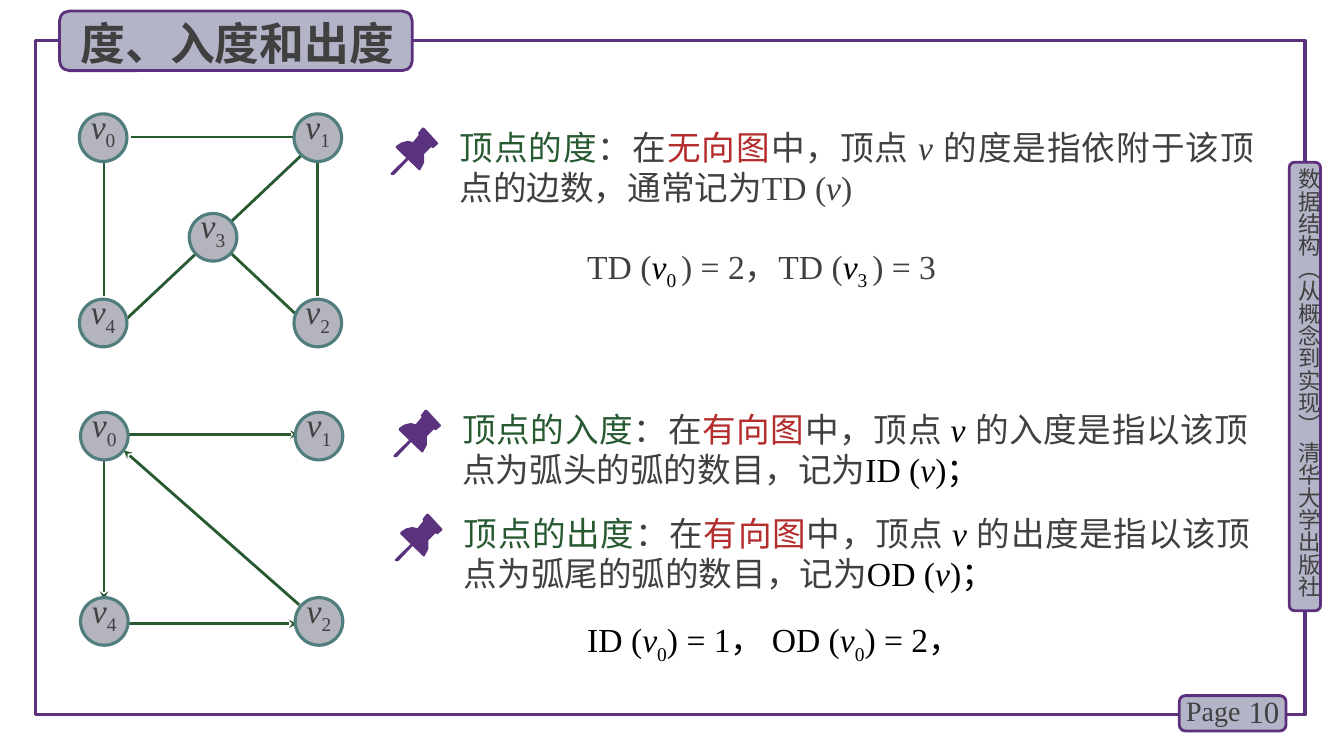
import dataclasses

import lxml.etree
import pptx
import pptx.dml.color
import pptx.enum.shapes
import pptx.enum.text
import pptx.oxml.ns
import pptx.util

Cm, Pt = pptx.util.Cm, pptx.util.Pt
qn = pptx.oxml.ns.qn
ALIGN = pptx.enum.text.PP_ALIGN
ANCHOR = pptx.enum.text.MSO_ANCHOR
SHAPE = pptx.enum.shapes.MSO_SHAPE


@dataclasses.dataclass(frozen=True)
class Theme:
    frame: str = "5A327D"
    plaque: str = "B4B4C8"
    plaque_line: str = "5C307D"
    node: str = "B4B4BE"
    node_line: str = "507D7D"
    green: str = "285A32"
    red: str = "B42D2D"
    grey: str = "404040"
    black: str = "000000"
    latin: str = "Times New Roman"
    chinese: str = "Noto Sans CJK SC"
    title_size: int = 32
    body_size: int = 24
    number_size: int = 22
    page_size: int = 20
    side_size: int = 16


THEME = Theme()

# Outlines of the pushpin, in cm from its top left corner
PIN_HEAD = [(1.19, .38), (.84, 0), (.79, 0), (.69, .13), (.69, .15), (.71, .18), (.56, .36),
            (.43, .33), (.27, .37), (.13, .46), (.13, .51), (.71, 1.07), (.74, 1.07),
            (.84, .88), (.84, .66), (1.02, .48), (1.04, .51), (1.07, .51), (1.19, .41)]
PIN_NEEDLE = [(.05, 1.19), (0, 1.19), (0, 1.14), (.41, .74), (.46, .74), (.46, .79), (.08, 1.19)]

UNDIRECTED_NODES = {"0": (2.6, 3.47), "1": (8.01, 3.47), "2": (8.01, 8.14),
                    "3": (5.37, 5.98), "4": (2.6, 8.14)}
UNDIRECTED_EDGES = [(3.3, 3.45, 7.49, 3.45), (4.93, 6.4, 3.12, 8.1), (5.84, 6.4, 7.49, 7.95),
                    (2.62, 4.11, 2.62, 7.47), (8, 4.11, 8, 7.47), (7.62, 3.89, 5.82, 5.59)]
DIRECTED_NODES = {"0": (2.63, 10.99), "1": (8.04, 10.99), "2": (8.04, 15.66), "4": (2.63, 15.66)}
DIRECTED_EDGES = [(3.23, 10.95, 7.52, 10.95), (2.62, 11.58, 2.62, 15.11),
                  (7.54, 15.24, 3.12, 11.35), (3.2, 15.72, 7.49, 15.72)]


def rgb(color):
    return pptx.dml.color.RGBColor.from_string(color)


def text(words, color=None):
    return words, color, False, False


def variable(name, color=None):
    return name, color, True, False


def subscript(index, color=None):
    return index, color, False, True


class SlideBuilder:
    def __init__(self, slide, theme):
        self.slide = slide
        self.theme = theme

    def set_text(self, shape, runs, size, color, latin=None, align=ALIGN.LEFT, spacing=None,
                 bold=False):
        """Fill the shape's only paragraph with (words, color, italic, subscript) runs."""
        paragraph = shape.text_frame.paragraphs[0]
        paragraph.alignment = align
        if spacing:
            paragraph.line_spacing = Pt(spacing)
        font = paragraph.font
        font.size, font.bold = Pt(size), bold
        font.color.rgb = rgb(color)
        font.name = latin or self.theme.latin
        defaults = paragraph._p.pPr.find(qn("a:defRPr"))
        lxml.etree.SubElement(defaults, qn("a:ea"), typeface=self.theme.chinese)
        for words, run_color, italic, lowered in runs:
            run = paragraph.add_run()
            run.text = words
            if run_color:
                run.font.color.rgb = rgb(run_color)
            if italic:
                run.font.italic = True
            if lowered:
                run._r.get_or_add_rPr().set("baseline", "-25000")

    def text_box(self, box, runs, size, color, margins=(.25, .13, .25, .13), anchor=ANCHOR.TOP,
                 vertical=False, **style):
        shape = self.slide.shapes.add_textbox(*map(Cm, box))
        self.set_frame(shape, margins, anchor)
        if vertical:
            shape.text_frame._txBody.bodyPr.set("vert", "eaVert")
        self.set_text(shape, runs, size, color, **style)

    def set_frame(self, shape, margins, anchor=ANCHOR.TOP):
        frame = shape.text_frame
        frame.word_wrap = True
        frame.auto_size = pptx.enum.text.MSO_AUTO_SIZE.NONE
        frame.vertical_anchor = anchor
        (frame.margin_left, frame.margin_top,
         frame.margin_right, frame.margin_bottom) = map(Cm, margins)

    def title(self, box, words):
        shape = self.slide.shapes.title
        shape.left, shape.top, shape.width, shape.height = map(Cm, box)
        self.set_frame(shape, (.25, .13, .25, .13))
        self.set_text(shape, [text(words)], self.theme.title_size, self.theme.grey,
                      latin=self.theme.chinese, spacing=41, bold=True)
        self.slide.shapes._spTree.append(shape._element)  # in front of its plaque

    def outline(self, kind, box, fill, line, width):
        shape = self.slide.shapes.add_shape(kind, *map(Cm, box))
        shape.shadow.inherit = False
        if fill:
            shape.fill.solid()
            shape.fill.fore_color.rgb = rgb(fill)
        else:
            shape.fill.background()
        shape.line.color.rgb = rgb(line)
        shape.line.width = Pt(width)
        return shape

    def plaque(self, box):
        self.outline(SHAPE.ROUNDED_RECTANGLE, box, self.theme.plaque, self.theme.plaque_line, 2)

    def node(self, index, center, diameter=1.2):
        left, top = (position - diameter / 2 for position in center)
        shape = self.outline(SHAPE.OVAL, (left, top, diameter, diameter),
                             self.theme.node, self.theme.node_line, 2.25)
        self.set_frame(shape, (0, 0, 0, 0))
        self.set_text(shape, [variable("v"), subscript(index)], self.theme.body_size,
                      self.theme.grey, align=ALIGN.CENTER, spacing=22)

    def edge(self, ends, arrow):
        connector = self.slide.shapes.add_connector(
            pptx.enum.shapes.MSO_CONNECTOR.STRAIGHT, *map(Cm, ends))
        connector.line.color.rgb = rgb(self.theme.green)
        connector.line.width = Pt(2)
        if arrow:
            line = connector.line._get_or_add_ln()
            lxml.etree.SubElement(line, qn("a:tailEnd"), type="stealth")
        lxml.etree.SubElement(connector._element.spPr, qn("a:effectLst"))

    def graph(self, nodes, edges, directed):
        for ends in edges:
            self.edge(ends, directed)
        for index, center in nodes.items():
            self.node(index, center)

    def pin(self, left, top):
        for part in (PIN_HEAD, PIN_NEEDLE):
            points = [(Cm(left + x), Cm(top + y)) for x, y in part]
            builder = self.slide.shapes.build_freeform(*points[0])
            builder.add_line_segments(points[1:], close=True)
            shape = builder.convert_to_shape()
            shape.shadow.inherit = False
            shape.fill.solid()
            shape.fill.fore_color.rgb = rgb(self.theme.frame)
            shape.line.fill.background()

    def definition(self, left, top, width, term, graph_kind, meaning, symbol, ending, color):
        """Pushpin and the paragraph that defines one kind of degree."""
        self.pin(left - 1.48, top + .25)
        runs = [text(term, self.theme.green), text("：在"), text(graph_kind, self.theme.red),
                text("中，顶点 "), variable("v ", color), text(meaning),
                text(symbol + " (", color), variable("v", color), text(")" + ending, color)]
        self.text_box((left, top, width, 2.31), runs, self.theme.body_size, self.theme.grey,
                      margins=(.25, .23, .25, .13), align=ALIGN.JUSTIFY, spacing=28.5)

    def formula(self, top, height, runs, color):
        self.text_box((14.55, top, 10.8, height), runs, self.theme.body_size, color, spacing=35)


def main():
    presentation = pptx.Presentation()
    presentation.slide_width, presentation.slide_height = Cm(33.87), Cm(19.05)
    slide = presentation.slides.add_slide(presentation.slide_layouts[5])
    builder = SlideBuilder(slide, THEME)
    grey, black = THEME.grey, THEME.black

    builder.outline(SHAPE.RECTANGLE, (.89, 1.02, 32, 16.99), None, THEME.frame, 2.25)
    builder.plaque((32.49, 4.09, .79, 11.3))
    builder.text_box((32.64, 4.24, .69, 11.4), [text("数据结构（从概念到实现） 清华大学出版社")],
                     THEME.side_size, grey, margins=(0, 0, 0, 0), vertical=True,
                     latin=THEME.chinese)
    builder.plaque((29.72, 17.53, 2.69, .89))
    builder.text_box((30.99, 17.42, 1.5, 1.02), [text("10")], THEME.number_size, grey,
                     anchor=ANCHOR.MIDDLE, align=ALIGN.RIGHT)
    builder.text_box((29.64, 17.35, 1.98, 1.12), [text("Page")], THEME.page_size, grey)
    builder.plaque((1.5, .28, 8.89, 1.5))
    builder.title((1.78, .18, 8.66, 1.63), "度、入度和出度")

    builder.definition(11.33, 2.97, 20.52, "顶点的度", "无向图",
                       "的度是指依附于该顶点的边数，通常记为", "TD", "", grey)
    builder.definition(11.4, 10.08, 20.32, "顶点的入度", "有向图",
                       "的入度是指以该顶点为弧头的弧的数目，记为", "ID", "；", black)
    builder.definition(11.44, 12.7, 20.32, "顶点的出度", "有向图",
                       "的出度是指以该顶点为弧尾的弧的数目，记为", "OD", "；", black)

    builder.graph(DIRECTED_NODES, DIRECTED_EDGES, directed=True)
    builder.formula(5.99, 1.5, [text("TD ("), variable("v", black), subscript("0 ", black),
                                text(") = 2，TD ("), variable("v", black),
                                subscript("3 ", black), text(") = 3")], grey)
    builder.formula(15.39, 1.37, [text("ID ("), variable("v"), subscript("0"),
                                  text(") = 1， OD ("), variable("v"), subscript("0"),
                                  text(") = 2，")], black)
    builder.graph(UNDIRECTED_NODES, UNDIRECTED_EDGES, directed=False)
    presentation.save("out.pptx")


if __name__ == "__main__":
    main()
